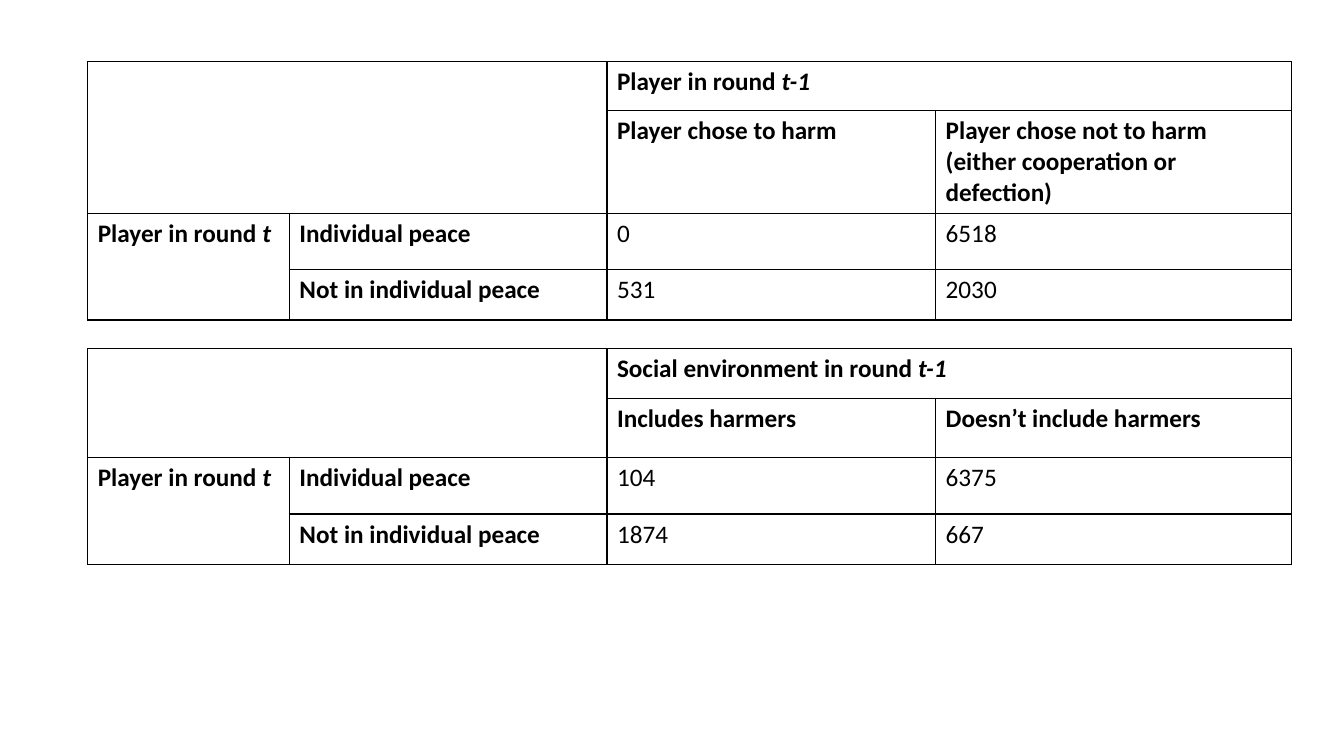
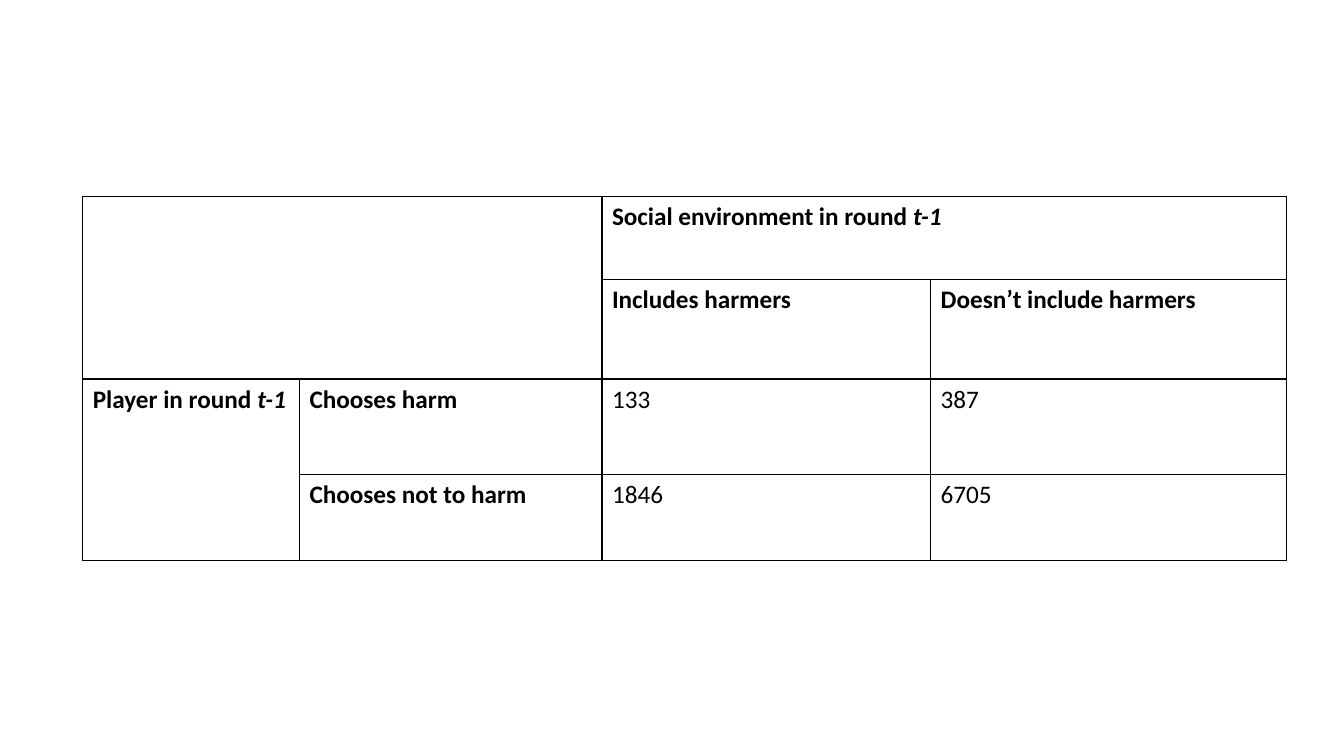
from pptx import Presentation
from pptx.dml.color import RGBColor
from pptx.oxml.ns import qn
from pptx.util import Inches, Pt
from lxml import etree

BLACK = "000000"
BORDER_SIDES = ("lnL", "lnR", "lnT", "lnB")
BLANK_LAYOUT = 6
HEADER_SPANS = (((0, 0), (1, 1)), ((0, 2), (0, 3)), ((2, 0), (3, 0)))
PEACE_ROWS = ("Individual peace", "Not in individual peace")
HARMER_COLUMNS = ("Includes harmers", "Doesn’t include harmers")
ENVIRONMENT = "Social environment in round "


def rgb(color):
    return RGBColor.from_string(color)


def write_text(cell, text, *, italic_end="", bold=False, font="Calibri", size=18, color=BLACK):
    paragraph = cell.text_frame.paragraphs[0]
    for part, italic in ((text, False), (italic_end, True)):
        if part:
            run = paragraph.add_run()
            run.text = part
            run.font.name = font
            run.font.size = Pt(size)
            run.font.bold = bold
            run.font.italic = italic
            run.font.color.rgb = rgb(color)


def add_border(cell, color=BLACK, width=1):
    properties = cell._tc.get_or_add_tcPr()
    for side in BORDER_SIDES:
        line = etree.SubElement(properties, qn(f"a:{side}"), w=str(Pt(width)))
        fill = etree.SubElement(line, qn("a:solidFill"))
        etree.SubElement(fill, qn("a:srgbClr"), val=color)


class Deck:
    def __init__(self):
        self.presentation = Presentation()
        self.presentation.slide_width = Inches(13.33)
        self.presentation.slide_height = Inches(7.5)
        self.slide = None

    def add_slide(self):
        layout = self.presentation.slide_layouts[BLANK_LAYOUT]
        self.slide = self.presentation.slides.add_slide(layout)

    def add_cross_table(self, left, top, widths, heights, column_title, column_labels,
                        row_round, row_labels, counts):
        shape = self.slide.shapes.add_table(
            len(heights), len(widths), Inches(left), Inches(top),
            Inches(sum(widths)), Inches(sum(heights)))
        table = shape.table
        table.first_row = False
        table.horz_banding = False
        for column, width in zip(table.columns, widths):
            column.width = Inches(width)
        for row, height in zip(table.rows, heights):
            row.height = Inches(height)
        for cell in table.iter_cells():
            add_border(cell)
            cell.fill.background()
        for first, last in HEADER_SPANS:
            table.cell(*first).merge(table.cell(*last))

        write_text(table.cell(0, 2), column_title, italic_end="t-1", bold=True)
        write_text(table.cell(2, 0), "Player in round ", italic_end=row_round, bold=True)
        for column, label in enumerate(column_labels, 2):
            write_text(table.cell(1, column), label, bold=True)
        for row, (label, values) in enumerate(zip(row_labels, counts), 2):
            write_text(table.cell(row, 1), label, bold=True)
            for column, value in enumerate(values, 2):
                write_text(table.cell(row, column), str(value))


def main():
    deck = Deck()

    deck.add_slide()
    peace_widths = (2, 3.15, 3.26, 3.53)
    peace_heights = (0.49, 0.59, 0.56, 0.5)
    choice_columns = ("Player chose to harm",
                      "Player chose not to harm (either cooperation or defection)")
    deck.add_cross_table(0.87, 0.61, peace_widths, peace_heights,
                         "Player in round ", choice_columns,
                         "t", PEACE_ROWS, ((0, 6518), (531, 2030)))
    deck.add_cross_table(0.87, 3.46, peace_widths, peace_heights,
                         ENVIRONMENT, HARMER_COLUMNS,
                         "t", PEACE_ROWS, ((104, 6375), (1874, 667)))

    deck.add_slide()
    deck.add_cross_table(0.82, 1.95, (2.15, 3, 3.26, 3.53), (0.82, 0.99, 0.95, 0.85),
                         ENVIRONMENT, HARMER_COLUMNS,
                         "t-1", ("Chooses harm", "Chooses not to harm"),
                         ((133, 387), (1846, 6705)))

    deck.presentation.save("out.pptx")


if __name__ == "__main__":
    main()
